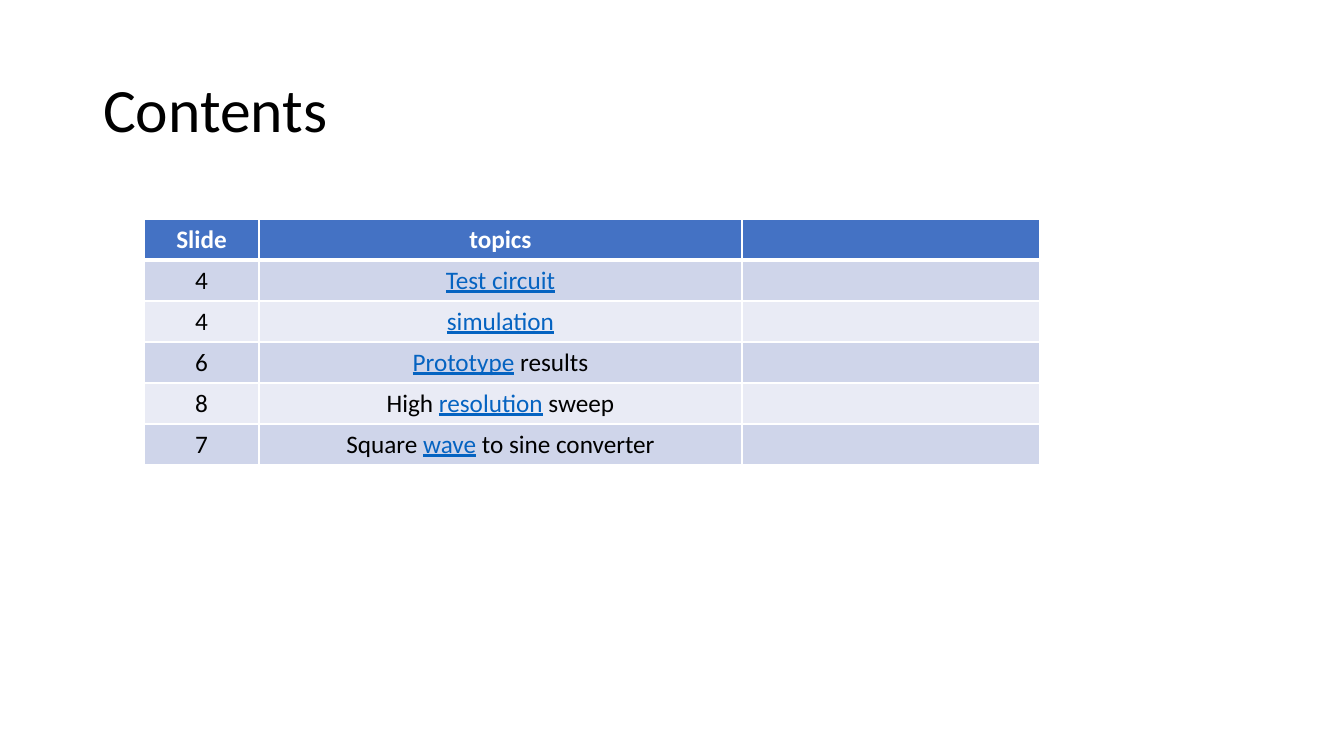
from lxml.etree import SubElement
from pptx import Presentation
from pptx.dml.color import RGBColor
from pptx.enum.text import MSO_ANCHOR as Anchor, PP_ALIGN as Align
from pptx.oxml.ns import qn
from pptx.util import Pt

EMU_PER_PX = 914400 / 100.8
BLACK, WHITE, LINK = "000000", "FFFFFF", "0563C1"
HEADER, BANDS = "4472C4", ("E9EBF5", "CFD5EA")


def px(length):
    return round(length * EMU_PER_PX)


def color(value):
    return RGBColor.from_string(value)


deck = Presentation()
deck.slide_width, deck.slide_height = px(1344), px(756)
page = deck.slides.add_slide(deck.slide_layouts[5])

title = page.shapes.title
for name, value in {"left": 93, "top": 40, "width": 1159, "height": 146}.items():
    setattr(title, name, px(value))
title.text_frame.vertical_anchor = Anchor.MIDDLE
para = title.text_frame.paragraphs[0]
para.alignment = Align.LEFT
para.line_spacing = 0.9
span = para.add_run()
span.text = "Contents"
for name, value in {"name": "Calibri", "size": Pt(44), "bold": False}.items():
    setattr(span.font, name, value)
span.font.color.rgb = color(BLACK)

topics = [
    ("Slide", [("topics", False)]),
    ("4", [("Test circuit", True)]),
    ("4", [("simulation", True)]),
    ("6", [("Prototype", True), (" results", False)]),
    ("8", [("High ", False), ("resolution", True), (" sweep", False)]),
    ("7", [("Square ", False), ("wave", True), (" to sine converter", False)]),
]
column_widths = [115, 483, 298]
row_height = 41

table = page.shapes.add_table(
    len(topics), len(column_widths), px(144), px(219),
    px(sum(column_widths)), px(row_height * len(topics)),
).table
for column, width in zip(table.columns, column_widths):
    column.width = px(width)

for row_index, (number, topic) in enumerate(topics):
    is_header = row_index == 0
    table.rows[row_index].height = px(row_height)
    for column_index, parts in enumerate([[(number, False)], topic, []]):
        cell = table.cell(row_index, column_index)
        properties = cell._tc.get_or_add_tcPr()
        border_widths = {
            "a:lnL": 1,
            "a:lnR": 1,
            "a:lnT": 3 if row_index == 1 else 1,
            "a:lnB": 3 if is_header else 1,
        }
        for side, points in border_widths.items():
            line = SubElement(properties, qn(side), w=str(Pt(points)))
            SubElement(SubElement(line, qn("a:solidFill")), qn("a:srgbClr"), val=WHITE)
        cell.fill.solid()
        cell.fill.fore_color.rgb = color(HEADER if is_header else BANDS[row_index % 2])

        para = cell.text_frame.paragraphs[0]
        para.alignment = Align.CENTER
        for text, is_link in parts:
            span = para.add_run()
            span.text = text
            style = {"name": "Calibri", "size": Pt(18), "bold": is_header, "underline": is_link}
            for name, value in style.items():
                setattr(span.font, name, value)
            span.font.color.rgb = color(LINK if is_link else WHITE if is_header else BLACK)

deck.save("out.pptx")
